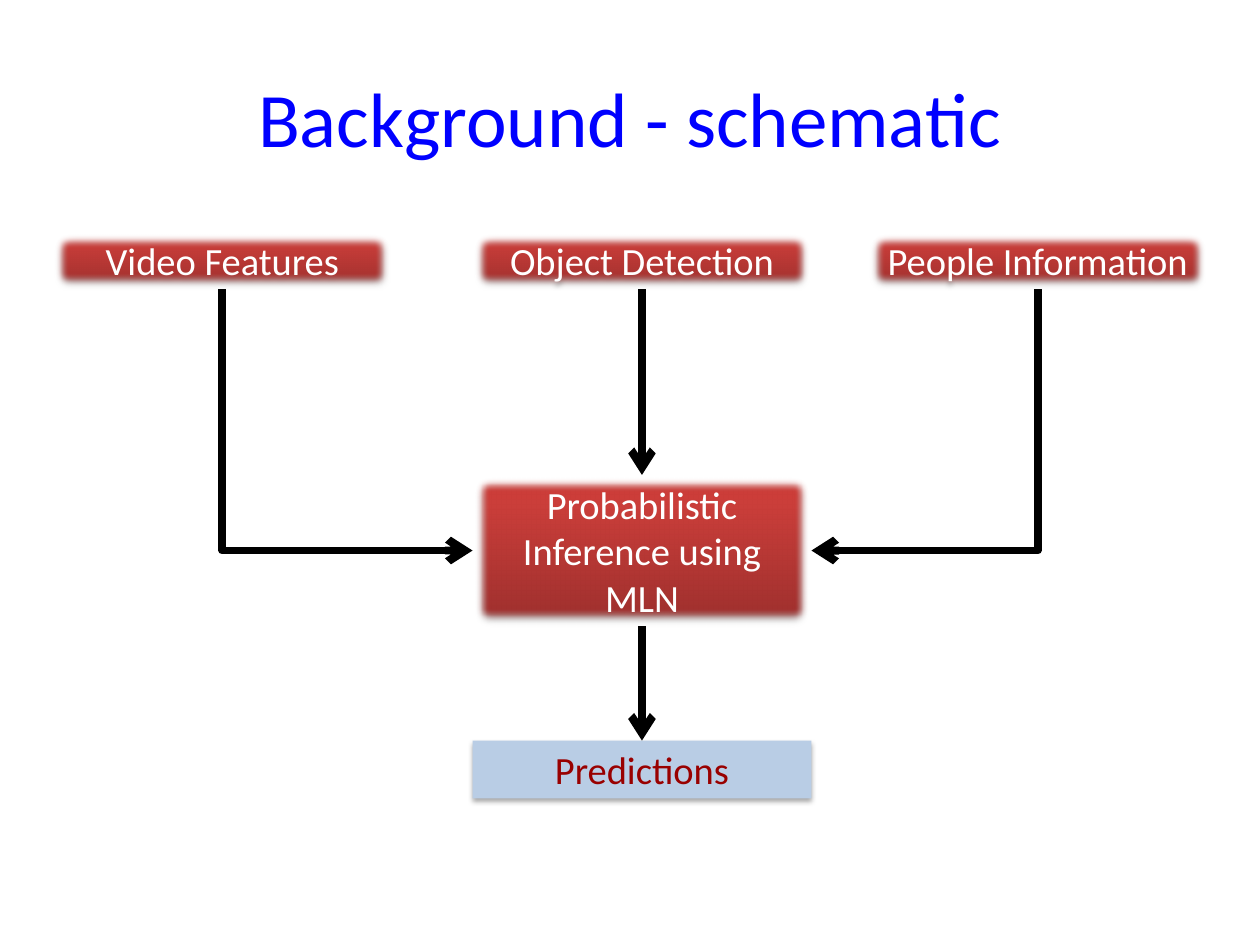
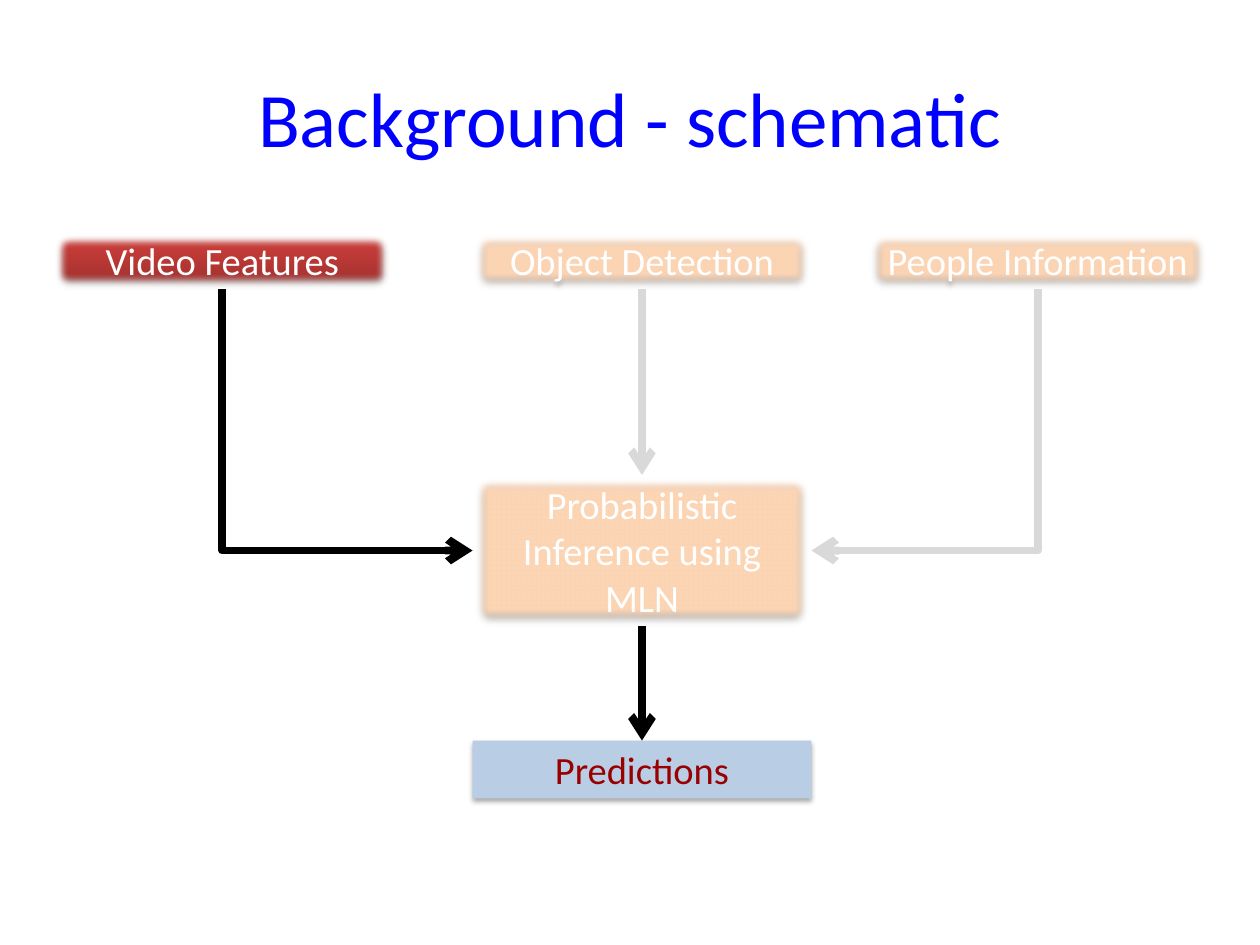
"""Builds two slides showing the inference schematic, whole and with one path highlighted."""
from copy import deepcopy

from pptx import Presentation
from pptx.dml.color import RGBColor
from pptx.enum.shapes import MSO_CONNECTOR as LINK, MSO_SHAPE
from pptx.enum.text import MSO_ANCHOR, MSO_AUTO_SIZE, PP_ALIGN
from pptx.oxml import parse_xml
from pptx.oxml.ns import nsdecls, qn
from pptx.util import Pt

FONT = "Calibri"
BLUE = RGBColor(0x00, 0x00, 0xFF)
WHITE = RGBColor(0xFF, 0xFF, 0xFF)
BLACK = RGBColor(0x00, 0x00, 0x00)
MAROON = RGBColor(0x99, 0x00, 0x00)
PALE_BLUE = RGBColor(0xB9, 0xCD, 0xE5)
PALE_ORANGE = RGBColor(0xFC, 0xD5, 0xB5)
PALE_GREY = RGBColor(0xD9, 0xD9, 0xD9)
RED_STOPS = (
    (0, RGBColor(0x9C, 0x2F, 0x2D)),
    (0.8, RGBColor(0xCB, 0x3E, 0x3A)),
    (1, RGBColor(0xCE, 0x3B, 0x37)),
)

BOX_WIDTH, BOX_HEIGHT = 193.7, 33.1
INPUT_TOP = 132.3
INPUTS = (("Video Features", 30.2), ("Object Detection", 270), ("People Information", 496.1))
TOP, LEFT, BOTTOM, RIGHT = range(4)


class Schematic:
    """Holds the presentation, its style and the current slide."""

    def __init__(self):
        self.deck = Presentation()
        self.deck.slide_width, self.deck.slide_height = Pt(720), Pt(540)
        self.slide = None

    def label(self, frame, text, size, color):
        frame.text = text
        frame.word_wrap = True
        frame.vertical_anchor = MSO_ANCHOR.MIDDLE
        paragraph = frame.paragraphs[0]
        paragraph.alignment = PP_ALIGN.CENTER
        font = paragraph.runs[0].font
        font.name, font.size, font.color.rgb = FONT, Pt(size), color

    def start(self, title):
        self.slide = self.deck.slides.add_slide(self.deck.slide_layouts[5])
        heading = self.slide.shapes.title
        heading.left, heading.top, heading.width, heading.height = Pt(36), Pt(21.6), Pt(648), Pt(90)
        self.label(heading.text_frame, title, 44, BLUE)

    def box(self, text, left, top, fill=None, height=BOX_HEIGHT, color=WHITE, soft=True):
        box = self.slide.shapes.add_shape(
            MSO_SHAPE.RECTANGLE, Pt(left), Pt(top), Pt(BOX_WIDTH), Pt(height))
        box.line.fill.background()
        if fill is None:
            self.shade(box)
        else:
            box.fill.solid()
            box.fill.fore_color.rgb = fill
        self.add_effects(box, soft)
        self.label(box.text_frame, text, 22, color)
        box.text_frame.auto_size = MSO_AUTO_SIZE.SHAPE_TO_FIT_TEXT
        return box

    def shade(self, box):
        box.fill.gradient()
        box.fill.gradient_angle = 90
        stops = next(box._element.spPr.iter(qn("a:gsLst")))
        stops.append(deepcopy(stops[-1]))
        for stop, (position, color) in zip(box.fill.gradient_stops, RED_STOPS):
            stop.position, stop.color.rgb = position, color

    def add_effects(self, box, soft):
        box.shadow.inherit = False
        effects = box._element.spPr.find(qn("a:effectLst"))
        effects.append(parse_xml(
            f'<a:outerShdw {nsdecls("a")} blurRad="{Pt(3.1)}" dist="{Pt(1.8)}" dir="5400000" '
            'rotWithShape="0"><a:srgbClr val="000000"><a:alpha val="35000"/></a:srgbClr></a:outerShdw>'))
        if soft:
            effects.append(parse_xml(f'<a:softEdge {nsdecls("a")} rad="{Pt(5)}"/>'))

    def arrow(self, source, target, side=TOP, color=BLACK):
        kind = LINK.STRAIGHT if side == TOP else LINK.ELBOW
        arrow = self.slide.shapes.add_connector(kind, 0, 0, 0, 0)
        arrow.begin_connect(source, BOTTOM)
        arrow.end_connect(target, side)
        if side != TOP:
            self.turn_once(arrow, side)
        arrow.line.width = Pt(4.5)
        arrow.line.color.rgb = color
        arrow.line._get_or_add_ln().append(parse_xml(f'<a:tailEnd {nsdecls("a")} type="arrow"/>'))
        arrow._element.spPr.append(parse_xml(f'<a:effectLst {nsdecls("a")}/>'))

    def turn_once(self, arrow, side):
        center_x = (arrow.begin_x + arrow.end_x) // 2
        center_y = (arrow.begin_y + arrow.end_y) // 2
        arrow.width, arrow.height = arrow.height, arrow.width
        arrow.left, arrow.top = center_x - arrow.width // 2, center_y - arrow.height // 2
        properties = arrow._element.spPr
        properties.find(qn("a:prstGeom")).set("prst", "bentConnector2")
        frame = properties.find(qn("a:xfrm"))
        frame.flipH = side == LEFT
        frame.flipV = False
        frame.rot = 270 if side == LEFT else 90

    def draw(self, title, highlight=False):
        self.start(title)
        faded = PALE_ORANGE if highlight else None
        faint = PALE_GREY if highlight else BLACK
        fills = (None, faded, faded)
        video, objects, people = [
            self.box(text, left, INPUT_TOP, fill) for (text, left), fill in zip(INPUTS, fills)]
        inference = self.box("Probabilistic Inference using MLN", 270, 271.4, faded, height=86.4)
        predictions = self.box("Predictions", 270, 423.2, PALE_BLUE, color=MAROON, soft=False)
        self.arrow(video, inference, LEFT)
        self.arrow(people, inference, RIGHT, faint)
        self.arrow(inference, predictions)
        self.arrow(objects, inference, color=faint)


def main():
    schematic = Schematic()
    for highlight in (False, True):
        schematic.draw("Background - schematic", highlight)
    schematic.deck.save("out.pptx")


if __name__ == "__main__":
    main()
